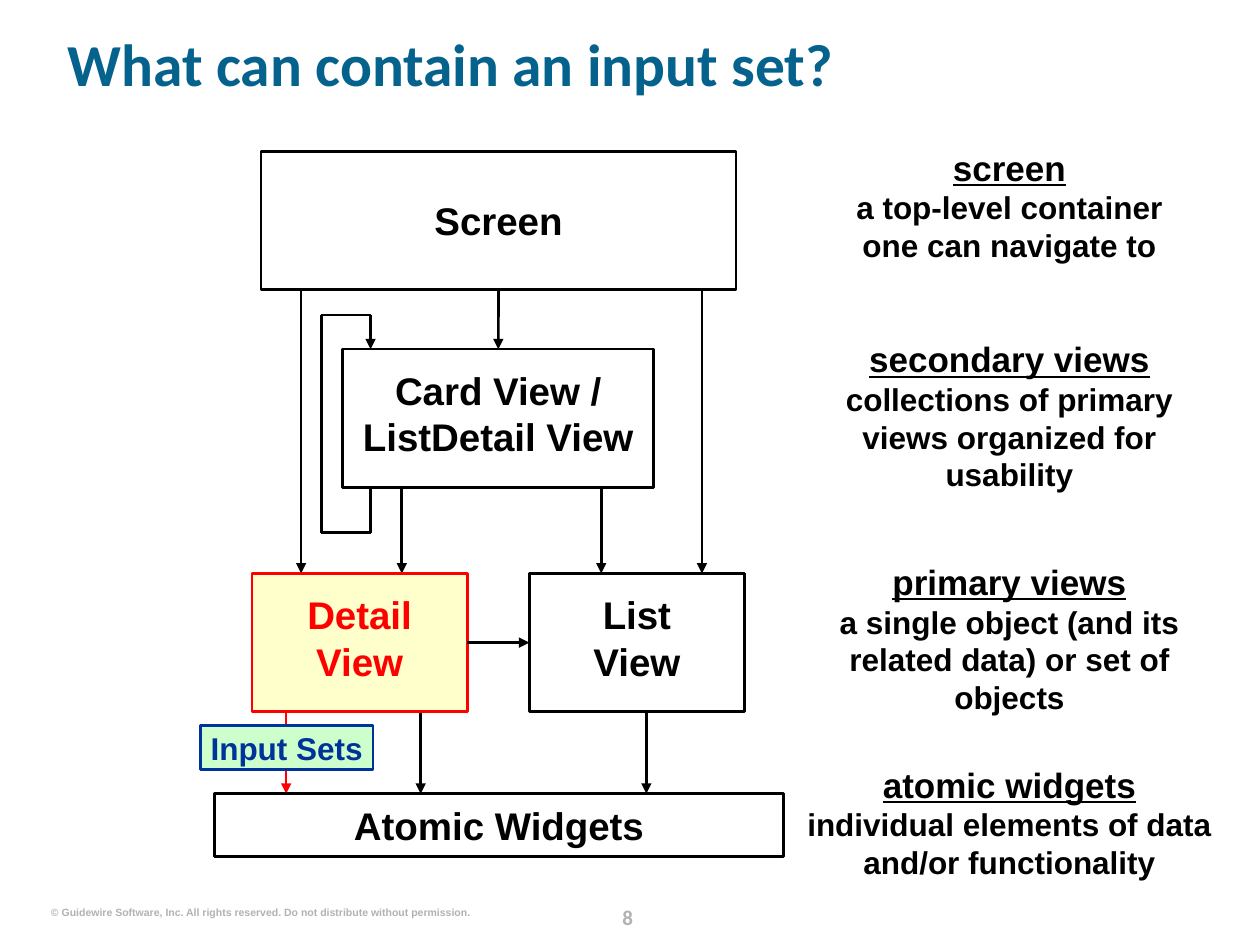
"""Build the slide showing which containers can hold an input set."""
from dataclasses import dataclass

from lxml.etree import SubElement
from pptx import Presentation
from pptx.dml.color import RGBColor as Rgb
from pptx.enum.shapes import MSO_CONNECTOR as Link, MSO_SHAPE as Preset
from pptx.enum.text import MSO_ANCHOR as Anchor, PP_ALIGN as Align
from pptx.oxml.ns import qn
from pptx.util import Cm, Pt


@dataclass(frozen=True)
class Theme:
    black: Rgb = Rgb.from_string("000000")
    red: Rgb = Rgb.from_string("FF0000")
    navy: Rgb = Rgb.from_string("003399")
    teal: Rgb = Rgb.from_string("04628C")
    grey: Rgb = Rgb.from_string("B2B2B2")
    yellow: Rgb = Rgb.from_string("FFFFCC")
    green: Rgb = Rgb.from_string("CCFFCC")
    body_font: str = "Arial"
    title_font: str = "Calibri"
    title: Pt = Pt(34)
    label: Pt = Pt(22)
    term: Pt = Pt(20)
    text: Pt = Pt(18)
    number: Pt = Pt(12)
    notice: Pt = Pt(6)
    line: Pt = Pt(1.5)


theme = Theme()


def write(frame, lines, size, color, font=theme.body_font, align=Align.CENTER, anchor=Anchor.TOP):
    frame.margin_left = frame.margin_right = frame.margin_top = frame.margin_bottom = 0
    frame.word_wrap = True
    frame.vertical_anchor = anchor
    para = frame.paragraphs[0]
    para.alignment = align
    for index, line in enumerate(lines):
        if index:
            para.add_line_break()
        span = para.add_run()
        span.text = line
        span.font.name, span.font.size, span.font.bold = font, size, True
        span.font.color.rgb = color
    return para


def draw_line(start, end, color=theme.black, arrow=True):
    line = page.shapes.add_connector(Link.STRAIGHT, *map(Cm, start + end))
    line.line.color.rgb = color
    line.line.width = theme.line
    if arrow:
        SubElement(line.line._get_or_add_ln(), qn("a:tailEnd"), type="triangle")
    SubElement(line._element.spPr, qn("a:effectLst"))
    return line


deck = Presentation()
deck.slide_width, deck.slide_height = Cm(25.4), Cm(19.05)
page = deck.slides.add_slide(deck.slide_layouts[6])

title = page.shapes.add_textbox(Cm(1.37), Cm(0.33), Cm(23.11), Cm(2.06))
para = write(title.text_frame, ["What can contain an input set?"], theme.title, theme.teal,
             theme.title_font, Align.LEFT, Anchor.MIDDLE)
para.line_spacing = 0.9

notice = page.shapes.add_textbox(Cm(1.02), Cm(18.26), Cm(8.46), Cm(0.25))
write(notice.text_frame,
      ["© Guidewire Software, Inc. All rights reserved. Do not distribute without permission."],
      theme.notice, theme.grey, align=Align.RIGHT)
notice.text_frame.word_wrap = False

number = page.shapes.add_textbox(Cm(11.93), Cm(18.11), Cm(1.45), Cm(0.64))
para = write(number.text_frame, ["8"], theme.number, theme.grey, theme.title_font)
para.line_spacing = Pt(18)

height = 2.79
screen_top, card_top, primary_top, atomic_top = 3.05, 7.04, 11.56, 16
screen_end, card_end, primary_end = (top + height for top in (screen_top, card_top, primary_top))

for x, top, bottom, color in [
    (6.07, screen_end, primary_top, theme.black),
    (14.15, screen_end, primary_top, theme.black),
    (8.1, card_end, primary_top, theme.black),
    (12.12, card_end, primary_top, theme.black),
    (8.48, primary_end, atomic_top, theme.black),
    (13.03, primary_end, atomic_top, theme.black),
    (5.77, primary_end, atomic_top, theme.red),
]:
    draw_line((x, top), (x, bottom), color)

loop = [(7.47, card_end), (7.47, 10.74), (6.48, 10.74), (6.48, 6.35), (7.47, 6.35), (7.47, card_top)]
for start, end in zip(loop, loop[1:]):
    draw_line(start, end, arrow=end == loop[-1])

boxes = {}
for name, lines, place, size, color, edge, fill in [
    ("screen", ["Screen"], (5.26, screen_top, 9.58, height),
     theme.label, theme.black, theme.black, None),
    ("card", ["Card View /", "ListDetail View"], (6.91, card_top, 6.27, height),
     theme.label, theme.black, theme.black, None),
    ("detail", ["Detail", "View"], (5.08, primary_top, 4.34, height),
     theme.label, theme.red, theme.red, theme.yellow),
    ("list", ["List", "View"], (10.67, primary_top, 4.34, height),
     theme.label, theme.black, theme.black, None),
    ("atomic", ["Atomic Widgets"], (4.32, atomic_top, 11.48, 1.27),
     theme.label, theme.black, theme.black, None),
    ("inputs", ["Input Sets"], (4.04, 14.63, 3.48, 0.89),
     theme.text, theme.navy, theme.navy, theme.green),
]:
    box = boxes[name] = page.shapes.add_shape(Preset.RECTANGLE, *map(Cm, place))
    box.shadow.inherit = False
    box.line.color.rgb = edge
    box.line.width = theme.line
    if fill:
        box.fill.solid()
        box.fill.fore_color.rgb = fill
    else:
        box.fill.background()
    write(box.text_frame, lines, size, color, anchor=Anchor.MIDDLE)
    if len(lines) > 1:
        box.text_frame.margin_bottom = Cm(0.2)

for source, source_side, target, target_side in [("screen", 2, "card", 0), ("detail", 3, "list", 1)]:
    link = draw_line((0, 0), (1, 1))
    link.begin_connect(boxes[source], source_side)
    link.end_connect(boxes[target], target_side)

center = 20.35
for lines, top, width, box_height in [
    (["screen", "a top-level container", "one can navigate to"], 2.95, 8.53, 2.46),
    (["secondary views", "collections of primary views organized for usability"], 6.81, 8.1, 3.12),
    (["primary views", "a single object (and its related data) or set of objects"], 11.3, 7.09, 3.12),
    (["atomic widgets", "individual elements of data and/or functionality"], 15.39, 8.23, 2.36),
]:
    box = page.shapes.add_textbox(Cm(center - width / 2), Cm(top), Cm(width), Cm(box_height))
    para = write(box.text_frame, lines, theme.text, theme.black)
    para.runs[0].font.size = theme.term
    para.runs[0].font.underline = True

deck.save("out.pptx")
